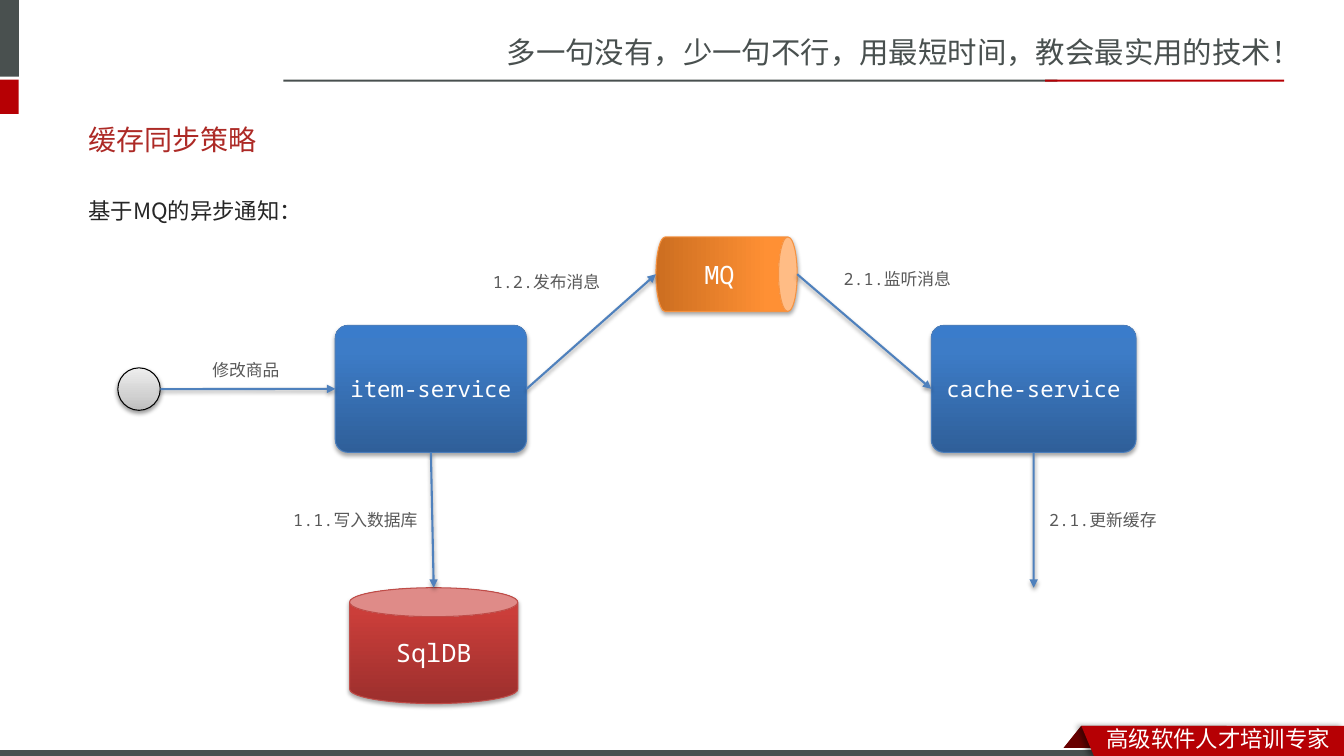
from copy import deepcopy

from lxml.etree import SubElement
from pptx import Presentation
from pptx.dml.color import RGBColor as Rgb
from pptx.enum.shapes import MSO_CONNECTOR as Link, MSO_SHAPE as Kind
from pptx.enum.text import MSO_ANCHOR as Anchor, PP_ALIGN as Align
from pptx.oxml.ns import qn
from pptx.util import Cm, Pt

WIDE, HIGH = 33.87, 19.05
HAN, MONO = "Noto Sans CJK SC", "Noto Sans Mono"
HUES = {
    "white": "FFFFFF", "black": "000000", "slate": "49504F", "red": "B60004",
    "fold": "680000", "title": "AD2A26", "body": "262626", "note": "595959",
    "arrow": "4F81BD", "blue": "4B7EBC", "brick": "BF4C48", "orange": "F69240",
}
# Gradient stops from bottom to top: (position, colour)
FADES = {
    "blue": [(0, "2F5F99"), (0.8, "3D7CC7"), (1, "3A7CCB")],
    "brick": [(0, "9C2F2D"), (0.8, "CB3E3A"), (1, "CE3B37")],
    "orange": [(0, "CC6E20"), (0.8, "FF9034"), (1, "FF9136")],
    "black": [(0, "BDBDBD"), (0.35, "D1D1D1"), (1, "EEEEEE")],
}
# Shadows: opacity %, blur pt, distance pt, angle
NODE, SOFT, SIDE = (35, 3.1, 1.8, 90), (38, 3.1, 1.6, 90), (40, 4, 3, 180)

# Boxes are left, top, width, height in cm
BARS = [
    ((0, 18.85, WIDE, 0.2), "white"),
    ((0, 0, 0.48, 1.93), "slate"),
    ((0, 2.01, 0.47, 0.86), "red"),
    ((7.14, 2.01, 19.51, 0.05), "slate"),
    ((26.34, 2.01, 6.02, 0.05), "red"),
    ((0, 18.9, 27.9, 0.15), "slate"),
]
FOLD = (26.64, 18.29, 4.27, 0.76)
RIBBON = [(27.25, 18.29), (WIDE, 18.29), (WIDE, HIGH), (27.57, HIGH)]
ITEM = (8.45, 8.2, 4.82, 3.2)
CACHE = (23.47, 8.2, 5.16, 3.2)
STORE = (8.81, 14.81, 4.24, 2.92)
USER = (2.97, 9.27, 1.07, 1.07)
QUEUE = (16.53, 5.97, 3.56, 1.88)
HEADS = [
    ((12.52, 0.73, 21.35, 1.19), "多一句没有，少一句不行，用最短时间，教会最实用的技术！", 21, HAN, "slate"),
    ((27.64, 18.16, 6.22, 0.89), "高级软件人才培训专家", 16, HAN, "white"),
]
TITLE = ((1.98, 2.79, 29.72, 1.45), "缓存同步策略", 20, "Arial", "title")
BODY = ((1.98, 4.5, 29.72, 10.72), "基于MQ的异步通知：", 16, "Noto Sans CJK JP", "body")
NOTES = [
    (5.1, 8.94, "修改商品"),
    (7.14, 12.73, "1.1.写入数据库"),
    (12.17, 6.73, "1.2.发布消息"),
    (26.19, 12.73, "2.1.更新缓存"),
    (21.01, 6.65, "2.1.监听消息"),
]

deck = Presentation()
deck.slide_width, deck.slide_height = Cm(WIDE), Cm(HIGH)
slide = deck.slides.add_slide(deck.slide_layouts[6])
shapes = slide.shapes


def color(name):
    return Rgb.from_string(HUES[name])


def cast(shape, look):
    """Give the shape or connector an outer shadow; call after its line is set."""
    alpha, blur, dist, turn = look
    effect = SubElement(shape._element.spPr, qn("a:effectLst"))
    outer = SubElement(effect, qn("a:outerShdw"), blurRad=str(Pt(blur)),
                       dist=str(Pt(dist)), dir=str(turn * 60000), rotWithShape="0")
    tone = SubElement(outer, qn("a:srgbClr"), val=HUES["black"])
    SubElement(tone, qn("a:alpha"), val=str(alpha * 1000))


def write(frame, text, size, font, hue):
    frame.word_wrap = True
    para = frame.paragraphs[0]
    para.text = text
    para.font.size, para.font.name = Pt(size), font
    para.font.color.rgb = color(hue)
    han = HAN if font in ("Arial", MONO) else font
    SubElement(para._p.pPr.find(qn("a:defRPr")), qn("a:ea"), typeface=han)
    return para


def label(box, *words):
    frame = shapes.add_textbox(*map(Cm, box)).text_frame
    return frame, write(frame, *words)


def flat(kind, box, hue):
    shape = shapes.add_shape(kind, *map(Cm, box))
    shape.shadow.inherit = False
    shape.fill.solid()
    shape.fill.fore_color.rgb = color(hue)
    shape.line.fill.background()
    return shape


def node(kind, box, hue, look=NODE, text=None, size=16):
    """Draw a shaded part of the flow, with its name centred in it."""
    shape = shapes.add_shape(kind, *map(Cm, box))
    fill = shape.fill
    fill.gradient()
    fill.gradient_angle = 90
    stops = shape._element.spPr.find(".//" + qn("a:gsLst"))
    stops.insert(1, deepcopy(stops[0]))
    for stop, (place, tone) in zip(fill.gradient_stops, FADES[hue]):
        stop.position = place
        stop.color.rgb = Rgb.from_string(tone)
    shape.line.color.rgb = color(hue)
    shape.line.width = Pt(0.75)
    cast(shape, look)
    if text:
        shape.text_frame.vertical_anchor = Anchor.MIDDLE
        write(shape.text_frame, text, size, MONO, "white").alignment = Align.CENTER
    return shape


def side(box, site):
    """Return the middle of a side: 0 top, 1 left, 2 bottom, 3 right."""
    x, y, w, h = box
    return [(x + w / 2, y), (x, y + h / 2), (x + w / 2, y + h), (x + w, y + h / 2)][site]


def arrow(start, end, tail=None, head=None):
    """Draw an arrow; tail and head are (shape, site) pairs to join."""
    line = shapes.add_connector(Link.STRAIGHT, *map(Cm, start + end))
    if tail:
        line.begin_connect(*tail)
    if head:
        line.end_connect(*head)
    line.line.color.rgb = color("arrow")
    line.line.width = Pt(1.5)
    SubElement(line._element.spPr.find(qn("a:ln")), qn("a:tailEnd"), type="triangle")
    cast(line, SOFT)


# Frame of the page
flat(Kind.PARALLELOGRAM, FOLD, "fold").adjustments[0] = 0.8
for box, hue in BARS:
    flat(Kind.RECTANGLE, box, hue)
first, *rest = [(Cm(x), Cm(y)) for x, y in RIBBON]
pen = shapes.build_freeform(*first)
pen.add_line_segments(rest)
ribbon = pen.convert_to_shape()
ribbon.fill.solid()
ribbon.fill.fore_color.rgb = color("red")
ribbon.line.fill.background()
cast(ribbon, SIDE)
for words in HEADS:
    label(*words)

label(*TITLE)[0].vertical_anchor = Anchor.MIDDLE
label(*BODY)[1].line_spacing = 1.5

# Flow
item = node(Kind.ROUNDED_RECTANGLE, ITEM, "blue", text="item-service")
cache = node(Kind.ROUNDED_RECTANGLE, CACHE, "blue", text="cache-service")
for service in (item, cache):
    service.adjustments[0] = 0.1
node(Kind.CAN, STORE, "brick", text="SqlDB", size=18)
node(Kind.OVAL, USER, "black", SOFT)

x, y, w, h = QUEUE
turned = (x + (w - h) / 2, y + (h - w) / 2, h, w)
node(Kind.CAN, turned, "orange").rotation = 90
label((17.5, 6.41, 1.6, 1.02), "MQ", 18, MONO, "white")

below = side(CACHE, 2)
arrow(side(USER, 3), side(ITEM, 1), head=(item, 1))
arrow(side(ITEM, 2), side(STORE, 0), tail=(item, 2))
arrow(side(ITEM, 3), side(QUEUE, 1), tail=(item, 3))
arrow(side(QUEUE, 3), side(CACHE, 1), head=(cache, 1))
arrow(below, (below[0], STORE[1]), tail=(cache, 2))
for x, y, text in NOTES:
    label((x, y, 3.8, 0.76), text, 12, MONO, "note")

deck.save("out.pptx")
